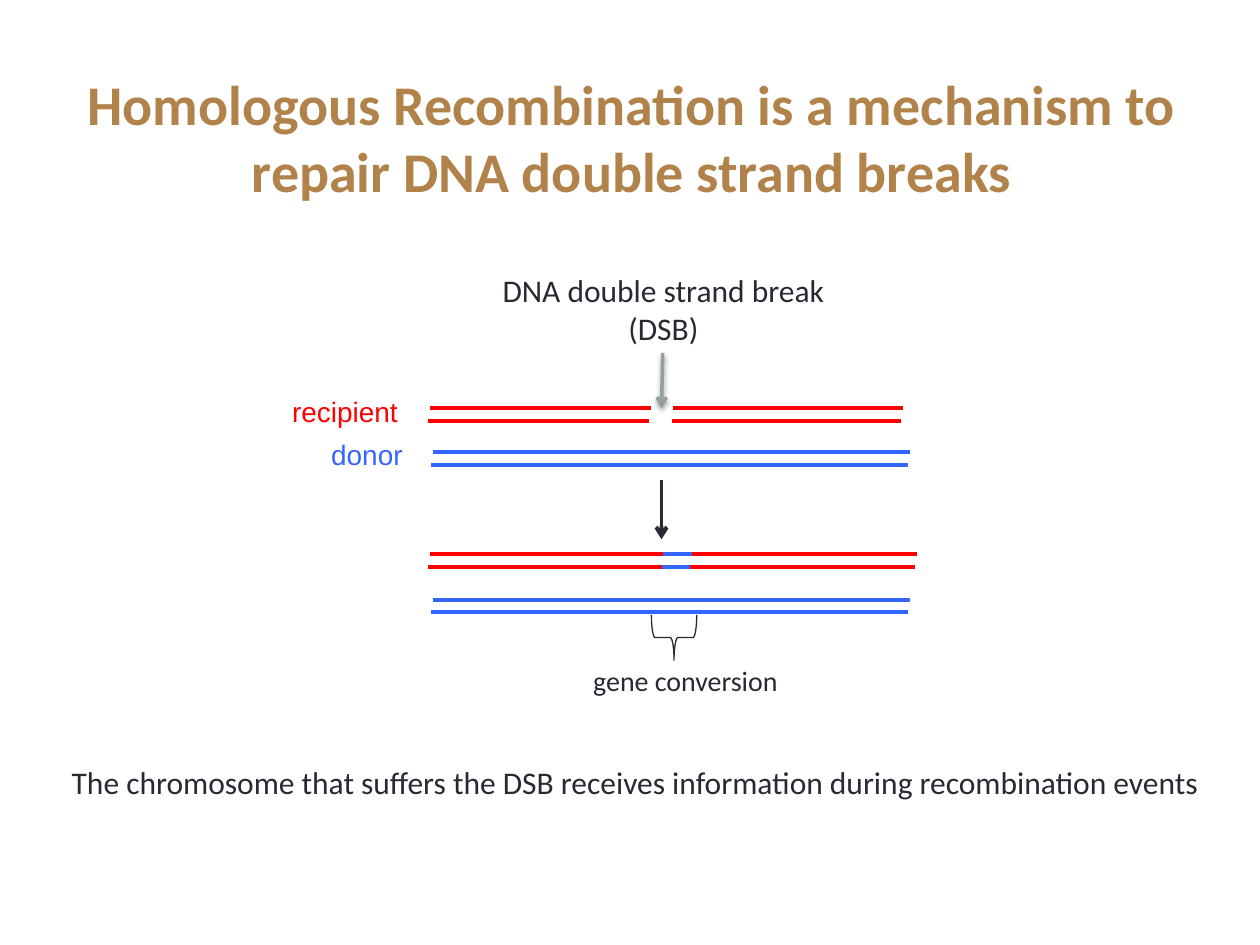
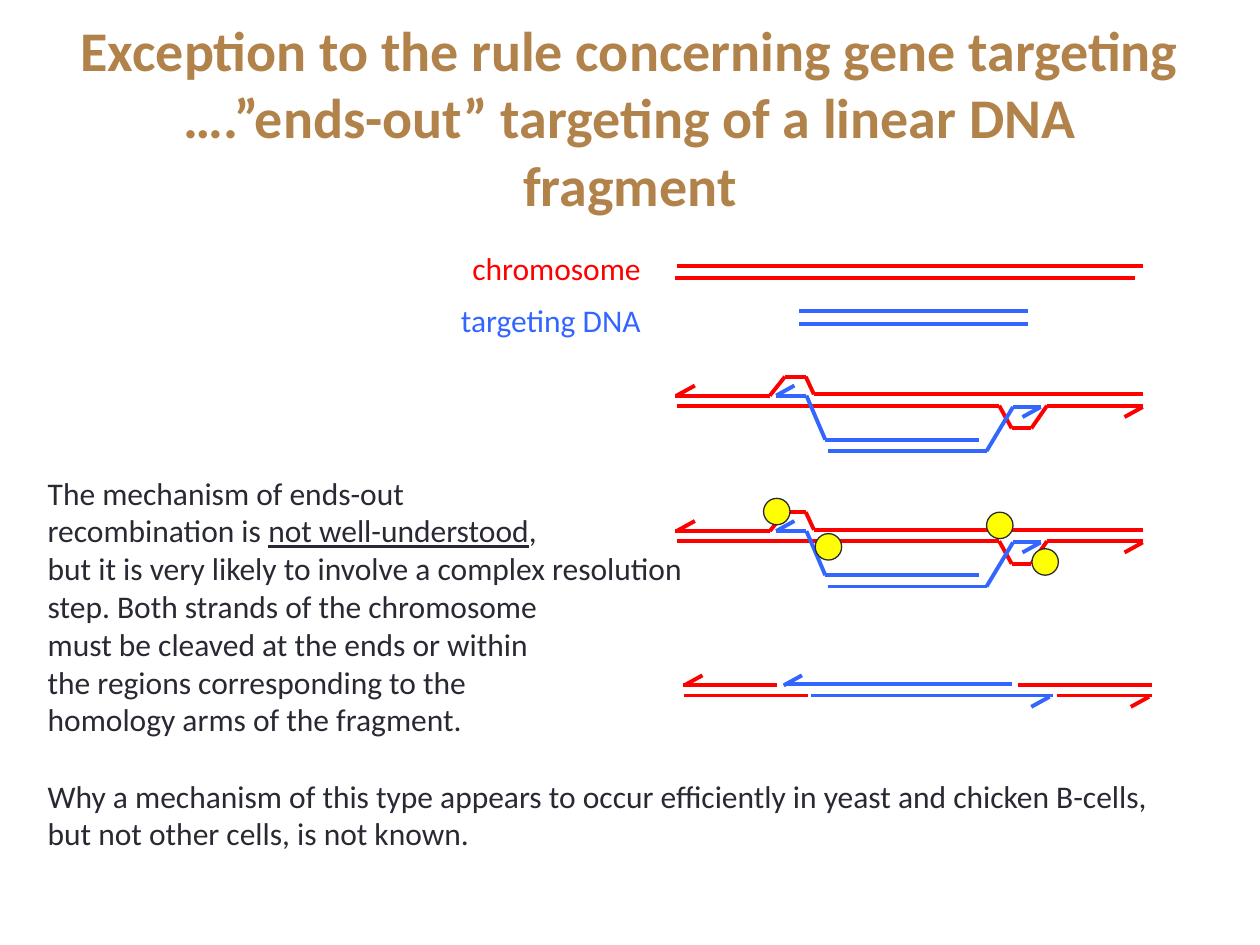
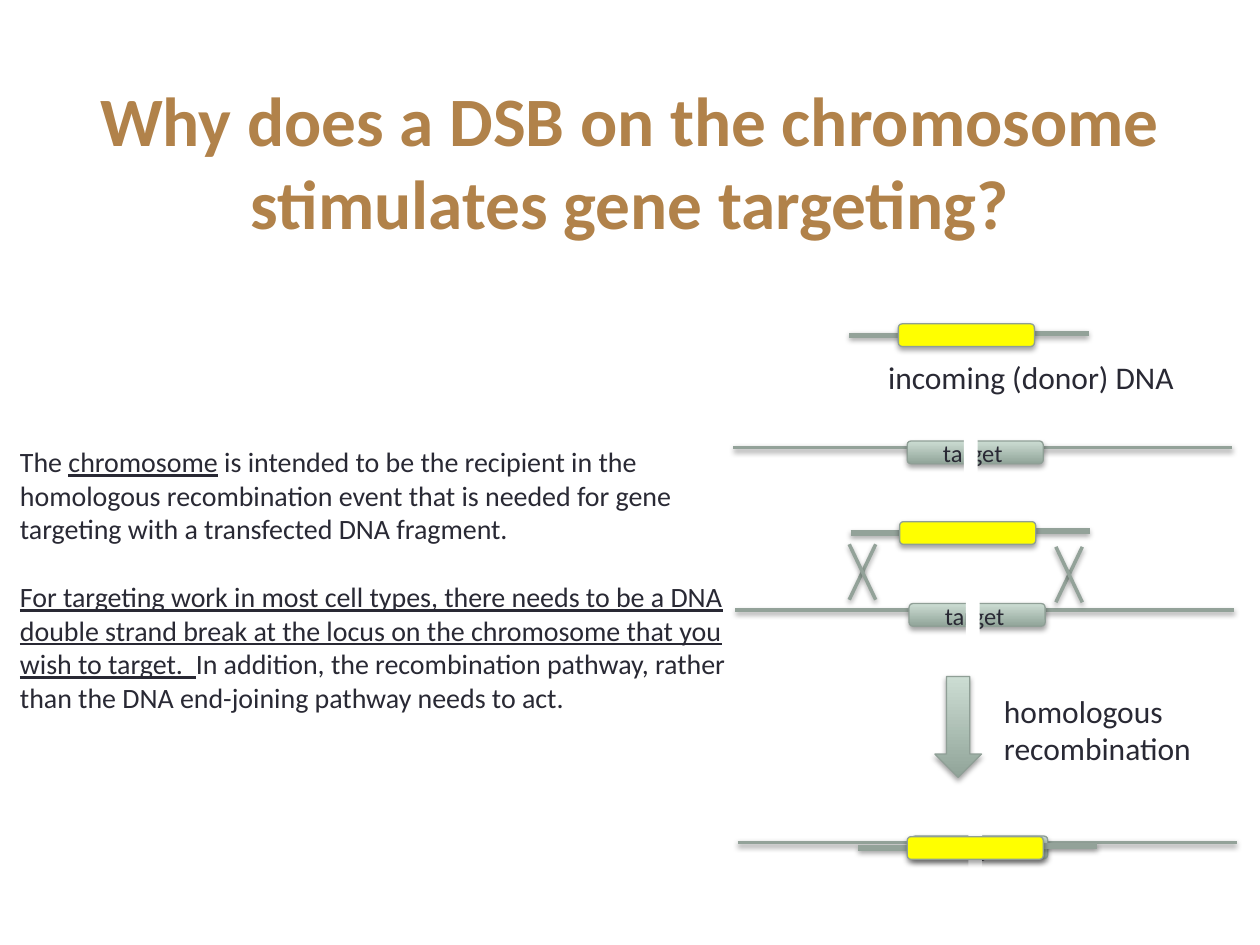
from dataclasses import dataclass
from itertools import pairwise
from typing import Any

from lxml import etree
from pptx import Presentation
from pptx.dml.color import RGBColor
from pptx.enum.shapes import MSO_CONNECTOR, MSO_SHAPE
from pptx.enum.text import MSO_ANCHOR, MSO_AUTO_SIZE, PP_ALIGN
from pptx.oxml.ns import qn
from pptx.util import Inches, Pt

STRAIGHT = MSO_CONNECTOR.STRAIGHT
OVAL, RECTANGLE = MSO_SHAPE.OVAL, MSO_SHAPE.RECTANGLE
ROUNDED, BRACE, DOWN_ARROW = MSO_SHAPE.ROUNDED_RECTANGLE, MSO_SHAPE.LEFT_BRACE, MSO_SHAPE.DOWN_ARROW
LEFT, CENTER = PP_ALIGN.LEFT, PP_ALIGN.CENTER
TITLE_ONLY = 5
CELL = 0.1  # inches; the slide is a grid of 100 columns by 75 rows

COLORS = {
    "title": "B1824A", "ink": "292934", "red": "FF0000", "blue": "3366FF",
    "yellow": "FFFF00", "white": "FFFFFF", "sage": "93A299", "edge": "8F9F96",
    "sage_dark": "91A499", "sage_light": "CCDDD3", "shadow": "000000",
}


def rgb(name):
    return RGBColor.from_string(COLORS[name])


def cells(*counts):
    return [Inches(count * CELL) for count in counts]


def set_shadow(shape, distance=None):
    """Clear the theme's shadow, or cast a soft one downwards by distance points."""
    properties = shape.element.spPr
    for old in properties.findall(qn("a:effectLst")):
        properties.remove(old)
    effects = etree.SubElement(properties, qn("a:effectLst"))
    if distance:
        shadow = etree.SubElement(effects, qn("a:outerShdw"), blurRad=str(Pt(3.1)),
                                  dist=str(Pt(distance)), dir="5400000", rotWithShape="0")
        color = etree.SubElement(shadow, qn("a:srgbClr"), val=COLORS["shadow"])
        etree.SubElement(color, qn("a:alpha"), val="37000")


@dataclass
class Region:
    """Part of a slide whose contents are placed in grid cells from its corner."""
    slide: Any
    col: float
    row: float

    def inner(self, col, row):
        return Region(self.slide, self.col + col, self.row + row)

    def line(self, start, end, color, width=2.25, arrow=False, shadow=None):
        connector = self.slide.shapes.add_connector(
            STRAIGHT, *cells(self.col + start[0], self.row + start[1],
                             self.col + end[0], self.row + end[1]))
        connector.line.color.rgb = rgb(color)
        connector.line.width = Pt(width)
        if arrow:
            etree.SubElement(connector.element.spPr.find(qn("a:ln")), qn("a:tailEnd"), type="arrow")
        set_shadow(connector, shadow)

    def chain(self, points, color):
        for start, end in pairwise(points):
            self.line(start, end, color)

    def shape(self, preset, box, fill=None, outline=None, shadow=None):
        shape = self.slide.shapes.add_shape(
            preset, *cells(self.col + box[0], self.row + box[1], *box[2:]))
        if fill == "sage":
            shape.fill.gradient()
            shape.fill.gradient_angle = 90
            for stop, shade in zip(shape.fill.gradient_stops, ("sage_dark", "sage_light")):
                stop.color.rgb = rgb(shade)
        elif fill:
            shape.fill.solid()
            shape.fill.fore_color.rgb = rgb(fill)
        else:
            shape.fill.background()
        if outline:
            shape.line.color.rgb = rgb(outline)
            shape.line.width = Pt(0.75)
        else:
            shape.line.fill.background()
        set_shadow(shape, shadow)
        return shape

    def text(self, box, paragraphs, size=18, color="ink", font="Calibri",
             align=LEFT, wrap=False, last_gap=0):
        """Write paragraphs, each a list of (words, underlined) runs."""
        frame = self.slide.shapes.add_textbox(
            *cells(self.col + box[0], self.row + box[1], *box[2:])).text_frame
        frame.word_wrap = wrap
        for index, runs in enumerate(paragraphs):
            paragraph = frame.add_paragraph() if index else frame.paragraphs[0]
            paragraph.alignment = align
            for words, underlined in runs:
                run = paragraph.add_run()
                run.text = words
                style_font(run.font, size, color, font)
                if underlined:
                    run.font.underline = True
        paragraph.space_before = Pt(last_gap)

    def label(self, box, *lines, **style):
        self.text(box, [[(line, False)] for line in lines], **style)


def style_font(font, size, color, name="Calibri"):
    font.name = name
    font.size = Pt(size)
    font.color.rgb = rgb(color)


def titled_slide(deck, box, lines, size=32):
    slide = deck.slides.add_slide(deck.slide_layouts[TITLE_ONLY])
    title = slide.shapes.title
    title.left, title.top, title.width, title.height = cells(*box)
    frame = title.text_frame
    frame.auto_size = MSO_AUTO_SIZE.NONE
    frame.vertical_anchor = MSO_ANCHOR.MIDDLE
    paragraph = frame.paragraphs[0]
    paragraph.alignment = CENTER
    for index, line in enumerate(lines):
        if index:
            paragraph.add_line_break()
        run = paragraph.add_run()
        run.text = line
        style_font(run.font, size, "title")
        run.font.bold = True
    return slide


def duplex(region, start, end, row, color, slip=0.15):
    """Two parallel strands, the upper one shifted right by slip."""
    region.line((start + slip, row), (end + slip, row), color)
    region.line((start, row + 1), (end, row + 1), color)


def half_arrow(region, tip, color, points_left):
    side = 1 if points_left else -1
    region.line(tip, (tip[0] + 1.45 * side, tip[1] - 0.8 * side), color)


# Slide 1: repair of a double strand break

def repair_diagram(region):
    for start, end, row, color in (
            (0, 17.5, 0, "red"), (19.3, 37.5, 0, "red"), (0.2, 38.1, 3.5, "blue"),
            (0, 38.6, 11.6, "red"), (18.5, 20.8, 11.6, "blue"), (0.2, 38.1, 15.2, "blue")):
        duplex(region, start, end, row, color)
    region.line((18.5, 5.7), (18.5, 10.4), "ink", arrow=True)
    region.label((-11.8, -1.6, 10.5, 3.7), "recipient", size=16, color="red", font="Arial")
    region.label((-8.7, 1.8, 7.8, 3.7), "donor", size=16, color="blue", font="Arial")
    region.label((12.1, 19.8, 18.5, 3.7), "gene conversion", size=16)
    region.shape(BRACE, (17.7, 16.4, 3.6, 3.6), outline="ink").rotation = 270
    region.label((4.7, -11.4, 27.9, 7.1), "DNA double strand break", "(DSB)", align=CENTER)
    region.line((18.6, -4.4), (18.5, 0), "sage", 2, arrow=True, shadow=1.6)


def repair_slide(deck):
    slide = titled_slide(deck, (1.7, 4.6, 96.9, 12.5),
                         ["Homologous Recombination is a mechanism to repair DNA double strand breaks"])
    repair_diagram(Region(slide, 34, 32.4))
    Region(slide, 4.7, 60.1).label(
        (0, 0, 92.5, 4),
        "The chromosome that suffers the DSB receives information during recombination events")


# Slide 2: ends-out targeting

def starting_molecules(region):
    region.line((0.1, 0), (37.1, 0), "red")
    region.line((0, 0.95), (36.5, 0.95), "red")
    duplex(region, 9.8, 28, 3.6, "blue", slip=0)
    region.label((-17.1, -1.8, 15.5, 4), "chromosome", color="red")
    region.label((-18, 2.3, 16.4, 4), "targeting DNA", color="blue")


def strand_invasion(region):
    region.chain([(0, 1.6), (7.5, 1.6), (8.7, 0.1), (10.35, 0.1), (11, 1.5), (37.1, 1.5)], "red")
    region.chain([(0.1, 2.4), (25.7, 2.4), (26.7, 4.2), (28.25, 4.2), (29.5, 2.4), (37.1, 2.4)], "red")
    region.chain([(8, 1.6), (10.4, 1.6), (11.9, 5.1), (24.1, 5.1)], "blue")
    region.chain([(12.1, 6), (24.7, 6), (26.8, 2.5), (29, 2.5)], "blue")
    half_arrow(region, (0.1, 1.6), "red", True)
    half_arrow(region, (8, 1.6), "blue", True)
    half_arrow(region, (29, 2.5), "blue", False)
    half_arrow(region, (37.1, 2.5), "red", False)


def cleavage_sites(region):
    for col, row in ((7, -1), (28.3, 3), (24.7, 0.1), (11.1, 1.8)):
        region.shape(OVAL, (col, row, 2.1, 2.1), "yellow", "ink")


def targeted_product(region):
    for start, end, row, color in (
            (0, 7.5, 0.8, "red"), (8.1, 26.1, 0.7, "blue"), (26.6, 37.2, 0.8, "red"),
            (0.1, 9.9, 1.6, "red"), (10.2, 29.4, 1.6, "blue"), (29.7, 37.2, 1.6, "red")):
        region.line((start, row), (end, row), color)
    half_arrow(region, (0.1, 0.8), "red", True)
    half_arrow(region, (8, 0.8), "blue", True)
    half_arrow(region, (29.1, 1.7), "blue", False)
    half_arrow(region, (37, 1.7), "red", False)


def ends_out_slide(deck):
    slide = titled_slide(deck, (5, 3, 90, 12.5), [
        "Exception to the rule concerning gene targeting",
        "….”ends-out” targeting of a linear DNA", "fragment"])
    starting_molecules(Region(slide, 53.6, 21.1))
    invasion = Region(slide, 53.6, 29.8)
    cleavage = invasion.inner(0, 10.75)
    strand_invasion(invasion)
    strand_invasion(cleavage)
    cleavage_sites(cleavage)
    targeted_product(Region(slide, 54.2, 53.6))
    Region(slide, 2.8, 37.1).text((0, 0, 92.2, 31.3), [
        [("The mechanism of ends-out", False)],
        [("recombination is ", False), ("not well-understood", True), (",", False)],
        [("but it is very likely to involve a complex resolution", False)],
        [("step. Both strands of the chromosome", False)],
        [("must be cleaved at the ends or within", False)],
        [("the regions corresponding to the", False)],
        [("homology arms of the fragment.", False)],
        [("Why a mechanism of this type appears to occur efficiently in yeast and "
          "chicken B-cells, but not other cells, is not known.", False)],
    ], wrap=True, last_gap=22)


# Slide 3: a break in the target

def donor(region):
    region.line((0, 0.9), (6, 0.9), "sage", 3, shadow=1.6)
    region.line((13, 0.75), (19, 0.75), "sage", 3, shadow=1.6)
    region.shape(ROUNDED, (3.9, 0, 10.8, 1.8), "yellow", "edge", 1.8)


def broken_target(region):
    region.line((0, 2.4), (39.6, 2.4), "sage", 2, shadow=1.6)
    region.shape(ROUNDED, (13.8, 1.9, 10.8, 1.8), "sage", "edge", 1.8)
    region.label((15.65, 1.2, 6.8, 3.4), "target", size=14)
    region.shape(RECTANGLE, (18.3, 0, 1.1, 5.7), "white")


def crossover(region):
    for start, end in ((2.1, 0), (0, 2.1)):
        region.line((start, 0), (end, 4.4), "sage", 2, shadow=1.6)


def targeting_diagram(region):
    donor(region.inner(9.2, 0))
    broken_target(region.inner(0, 7.4))
    region.label((11.3, 2.2, 24.9, 4), "incoming (donor) DNA")
    donor(region.inner(9.3, 15.7))
    broken_target(region.inner(0.15, 20.3))
    crossover(region.inner(9.2, 17.5))
    crossover(region.inner(25.6, 17.7))
    broken_target(region.inner(0.35, 38.75))
    donor(region.inner(9.9, 40.7))
    region.shape(DOWN_ARROW, (16, 28, 3.7, 8), "sage", "edge", 1.8)
    region.label((20.5, 28.7, 17, 7.1), "homologous", "recombination")


def target_break_slide(deck):
    slide = titled_slide(deck, (5, 6.5, 90, 12.5),
                         ["Why does a DSB on the chromosome stimulates gene targeting?"], 39.6)
    Region(slide, 0.6, 34.8).text((0, 0, 58.8, 22.6), [
        [("The ", False), ("chromosome", True),
         (" is intended to be the recipient in the homologous recombination event that is "
          "needed for gene targeting with a transfected DNA fragment.", False)],
        [("For targeting work in most cell types, there needs to be a DNA double strand break "
          "at the locus on the chromosome that you wish to target.  ", True),
         ("In addition, the recombination pathway, rather than the DNA end-joining pathway "
          "needs to act.", False)],
    ], size=16, wrap=True, last_gap=19.5)
    targeting_diagram(Region(slide, 58.2, 25.7))


def main():
    deck = Presentation()
    deck.slide_width, deck.slide_height = cells(100, 75)
    repair_slide(deck)
    ends_out_slide(deck)
    target_break_slide(deck)
    deck.save("out.pptx")


if __name__ == "__main__":
    main()
